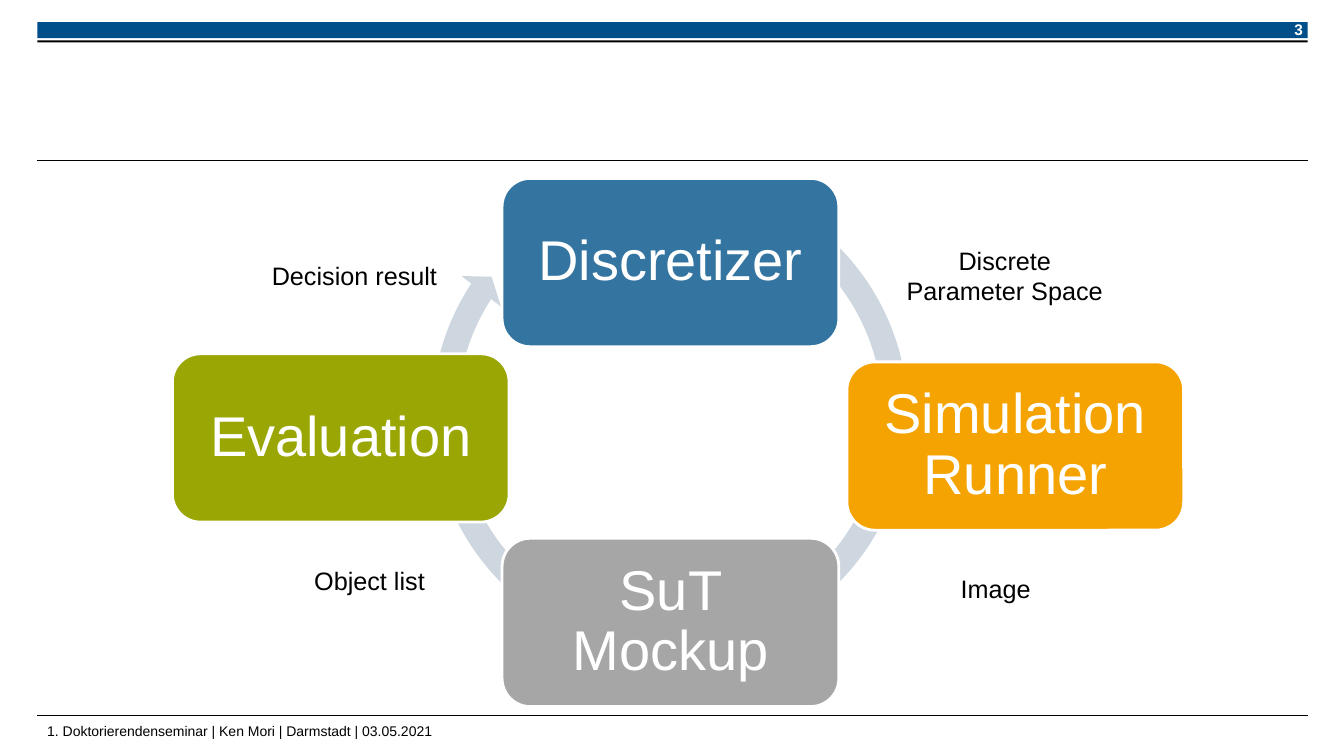
"""Build a slide with a four-step simulation cycle and labelled hand-overs."""
from lxml.etree import SubElement
from pptx import Presentation
from pptx.dml.color import RGBColor
from pptx.enum.shapes import MSO_CONNECTOR, MSO_SHAPE
from pptx.enum.text import MSO_ANCHOR, PP_ALIGN
from pptx.oxml.ns import qn
from pptx.util import Inches, Pt

BLACK = RGBColor(0x00, 0x00, 0x00)
WHITE = RGBColor(0xFF, 0xFF, 0xFF)
NAVY = RGBColor(0x00, 0x4E, 0x8A)
PALE = RGBColor(0xCE, 0xD6, 0xE0)
BLUE = RGBColor(0x33, 0x74, 0xA1)
ORANGE = RGBColor(0xF5, 0xA3, 0x00)
GREY = RGBColor(0xA6, 0xA6, 0xA6)
GREEN = RGBColor(0x99, 0xA6, 0x04)

LEFT, RIGHT = 0.37, 12.97
WIDE = RIGHT - LEFT


def draw(kind, x, y, w, h, color):
    form = slide.shapes.add_shape(kind, Inches(x), Inches(y), Inches(w), Inches(h))
    form.shadow.inherit = False
    form.fill.solid()
    form.fill.fore_color.rgb = color
    form.line.fill.background()
    return form


def write(form, text, size, color, align, bold=False, frame={}, para={}):
    body = form.text_frame
    body.text = text
    first = body.paragraphs[0]
    font = first.runs[0].font
    font.color.rgb = color
    looks = (
        (body, {"word_wrap": True, **frame}),
        (first, {"alignment": align, **para}),
        (font, {"name": "Arial", "size": Pt(size), "bold": bold}),
    )
    for part, values in looks:
        for name, value in values.items():
            setattr(part, name, value)


deck = Presentation()
deck.slide_width = Inches(13.33)
deck.slide_height = Inches(7.5)
slide = deck.slides.add_slide(deck.slide_layouts[6])

draw(MSO_SHAPE.RECTANGLE, LEFT, 0.22, WIDE, 0.16, NAVY)
draw(MSO_SHAPE.RECTANGLE, LEFT, 0.4, WIDE, 0.02, BLACK)
for y in (1.59, 7.1):
    rule = slide.shapes.add_connector(
        MSO_CONNECTOR.STRAIGHT, Inches(LEFT), Inches(y), Inches(RIGHT), Inches(y))
    rule.line.color.rgb = BLACK
    rule.line.width = Pt(0.6)
    SubElement(rule._element.spPr, qn("a:effectLst"))

ring = draw(MSO_SHAPE.CIRCULAR_ARROW, 4.16, 1.63, 4.97, 4.97, PALE)
for i, value in enumerate((0.05, 2.73, 127.91, 180.59, 0.05)):
    ring.adjustments[i] = value

steps = (
    ("Discretizer", 4.98, 1.77, BLUE),
    ("Simulation Runner", 8.4, 3.59, ORANGE),
    ("SuT Mockup", 4.98, 5.34, GREY),
    ("Evaluation", 1.71, 3.51, GREEN),
)
sides = ("margin_left", "margin_top", "margin_right", "margin_bottom")
inner = {side: Inches(0.17) for side in sides}
inner["vertical_anchor"] = MSO_ANCHOR.MIDDLE
for text, x, y, color in steps:
    step = draw(MSO_SHAPE.ROUNDED_RECTANGLE, x, y, 3.34, 1.67, color)
    step.line.color.rgb = WHITE
    step.line.width = Pt(2)
    write(step, text, 40, WHITE, PP_ALIGN.CENTER, frame=inner,
          para={"line_spacing": 0.9})

labels = (
    ("Discrete Parameter Space", 8.87, 2.38, 0.71),
    ("Image", 8.78, 5.64, 0.4),
    ("Object list", 2.57, 5.56, 0.4),
    ("Decision result", 2.42, 2.53, 0.4),
)
for text, x, y, h in labels:
    label = slide.shapes.add_textbox(Inches(x), Inches(y), Inches(2.19), Inches(h))
    write(label, text, 18, BLACK, PP_ALIGN.CENTER)

foot = slide.shapes.add_textbox(Inches(LEFT), Inches(7.12), Inches(7.55), Inches(0.23))
write(foot, "1. Doktorierendenseminar | Ken Mori | Darmstadt | 03.05.2021",
      10, BLACK, PP_ALIGN.LEFT)
page = slide.shapes.add_textbox(Inches(12.5), Inches(0.15), Inches(0.52), Inches(0.29))
write(page, "3", 11, WHITE, PP_ALIGN.RIGHT, bold=True)

deck.save("out.pptx")
